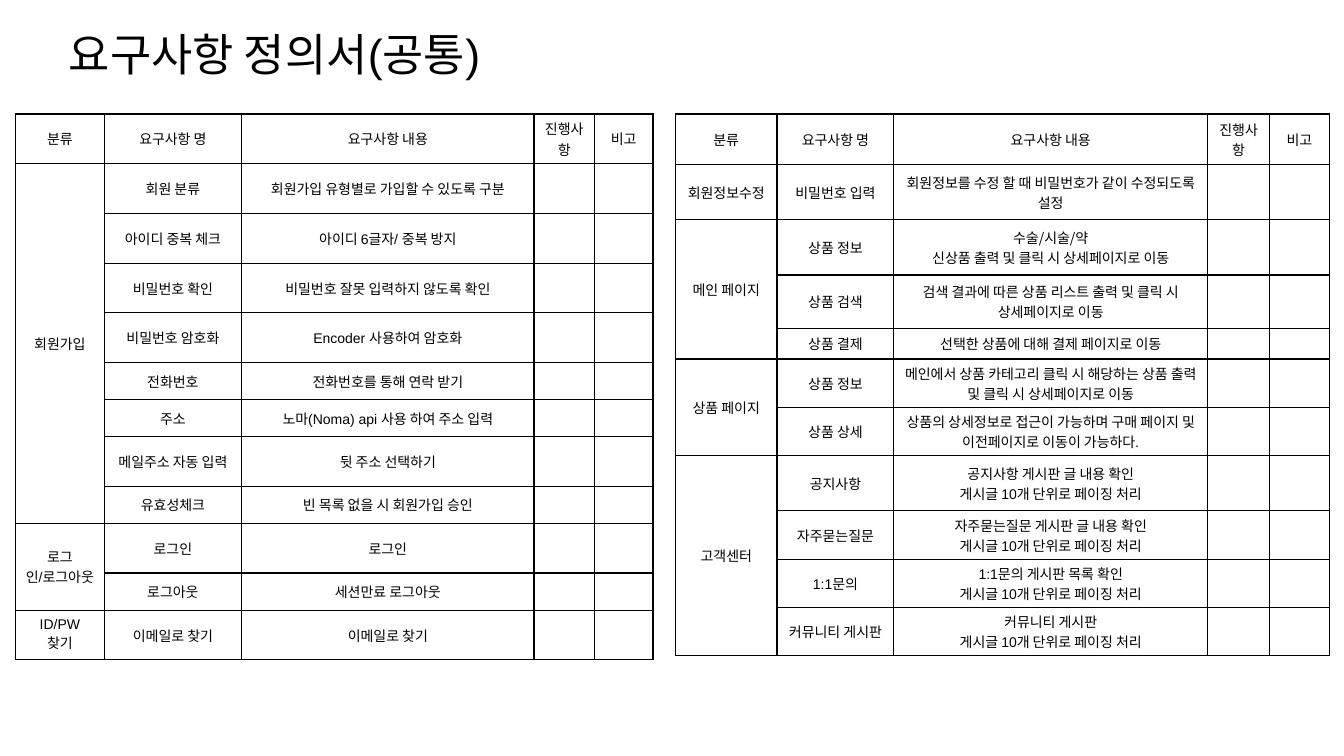
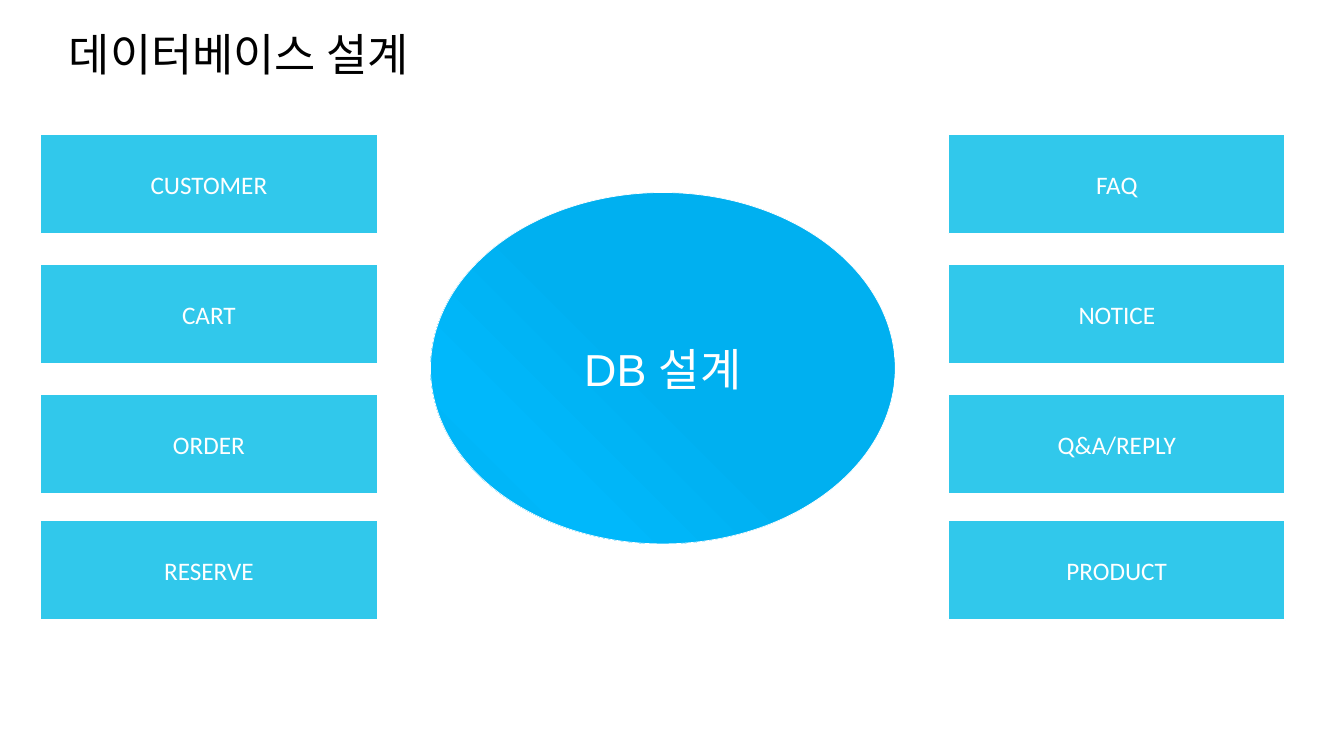
"""Build the requirements and database design slides."""
from lxml import etree
from pptx import Presentation
from pptx.dml.color import RGBColor
from pptx.enum.shapes import MSO_SHAPE
from pptx.enum.text import MSO_ANCHOR, MSO_AUTO_SIZE, PP_ALIGN
from pptx.oxml.ns import qn
from pptx.util import Pt

RECTANGLE, ELLIPSE = MSO_SHAPE.RECTANGLE, MSO_SHAPE.OVAL
LEFT, CENTER = PP_ALIGN.LEFT, PP_ALIGN.CENTER
TOP, MIDDLE = MSO_ANCHOR.TOP, MSO_ANCHOR.MIDDLE
GROW = MSO_AUTO_SIZE.SHAPE_TO_FIT_TEXT

COLORS = {"ink": "000000", "white": "FFFFFF", "entity": "31C8EB",
          "core": "00B0F0", "glow": "00B8FB"}
LATIN, LABEL, KOREAN = "Arial", "Calibri", "Noto Sans CJK KR"
TITLE_BOX = (42, 20, 353.5, 46)
TITLE_ONLY = 5
CELL_SIZE = 10

HEADERS = ["분류", "요구사항 명", "요구사항 내용", "진행사항", "비고"]
PAGING = "게시글 10개 단위로 페이징 처리"

MEMBER_TABLE = {
    "origin": (11, 81.5),
    "columns": [63.5, 98, 209, 43, 42],
    "header_height": 35.5,
    "groups": [
        ("회원가입", [
            (35.5, "회원 분류", ["회원가입 유형별로 가입할 수 있도록 구분"]),
            (35.5, "아이디 중복 체크", ["아이디 6글자/ 중복 방지"]),
            (35.5, "비밀번호 확인", ["비밀번호 잘못 입력하지 않도록 확인"]),
            (35.5, "비밀번호 암호화", ["Encoder 사용하여 암호화"]),
            (26.5, "전화번호", ["전화번호를 통해 연락 받기"]),
            (26.5, "주소", ["노마(Noma) api 사용 하여 주소 입력"]),
            (35.5, "메일주소 자동 입력", ["뒷 주소 선택하기"]),
            (26.5, "유효성체크", ["빈 목록 없을 시 회원가입 승인"]),
        ]),
        ("로그인/로그아웃", [
            (35.5, "로그인", ["로그인"]),
            (26.5, "로그아웃", ["세션만료 로그아웃"]),
        ]),
        ("ID/PW 찾기", [(35.5, "이메일로 찾기", ["이메일로 찾기"])]),
    ],
}

PAGE_TABLE = {
    "origin": (482.5, 81.5),
    "columns": [72.5, 83.5, 224, 44.5, 42.5],
    "header_height": 36,
    "groups": [
        ("회원정보수정", [
            (39.5, "비밀번호 입력",
             ["회원정보를 수정 할 때 비밀번호가 같이 수정되도록 설정"]),
        ]),
        ("메인 페이지", [
            (39.5, "상품 정보",
             ["수술/시술/약", "신상품 출력 및 클릭 시 상세페이지로 이동"], KOREAN),
            (38, "상품 검색",
             ["검색 결과에 따른 상품 리스트 출력 및 클릭 시 상세페이지로 이동"]),
            (22, "상품 결제", ["선택한 상품에 대해 결제 페이지로 이동"]),
        ]),
        ("상품 페이지", [
            (34.5, "상품 정보",
             ["메인에서 상품 카테고리 클릭 시 해당하는 상품 출력 및 클릭 시 상세페이지로 이동"]),
            (34.5, "상품 상세",
             ["상품의 상세정보로 접근이 가능하며 구매 페이지 및 이전페이지로 이동이 가능하다."]),
        ]),
        ("고객센터", [
            (39.5, "공지사항", ["공지사항 게시판 글 내용 확인", PAGING]),
            (34.5, "자주묻는질문", ["자주묻는질문 게시판 글 내용 확인", PAGING]),
            (34.5, "1:1문의", ["1:1문의 게시판 목록 확인", PAGING]),
            (34.5, "커뮤니티 게시판", ["커뮤니티 게시판", PAGING]),
        ]),
    ],
}

ENTITY_COLUMNS = [
    (29, ["CUSTOMER", "CART", "ORDER", "RESERVE"]),
    (677.5, ["FAQ", "NOTICE", "Q&A/REPLY", "PRODUCT"]),
]
ENTITY_OFFSETS = [0, 93, 186, 276]
ENTITY_TOP, ENTITY_WIDTH, ENTITY_HEIGHT = 96, 240.5, 71
CORE_BOX = (307.5, 137.5, 332, 251)
CORE_STOPS = [(0, "core"), (50, "core"), (78, "glow"), (100, "core")]


def rgb(color):
    """Return the named colour."""
    return RGBColor.from_string(COLORS[color])


def write(paragraph, text, size, color, latin=LATIN, align=CENTER):
    """Add one formatted run to a paragraph."""
    paragraph.alignment = align
    run = paragraph.add_run()
    run.text = text
    run.font.size = Pt(size)
    run.font.name = latin
    run.font.color.rgb = rgb(color)
    east_asian = etree.Element(qn("a:ea"), typeface=KOREAN)
    run.font._element.find(qn("a:latin")).addnext(east_asian)


def add_titled_slide(deck, heading):
    """Add a slide with the shared title style."""
    slide = deck.slides.add_slide(deck.slide_layouts[TITLE_ONLY])
    title = slide.shapes.title
    title.left, title.top, title.width, title.height = map(Pt, TITLE_BOX)
    frame = title.text_frame
    frame.vertical_anchor = TOP
    frame.auto_size = GROW
    paragraph = frame.paragraphs[0]
    paragraph.line_spacing = 0.9
    write(paragraph, heading, 32, "ink", align=LEFT)
    return slide


def add_border(cell):
    """Draw a thin black line on each side of a cell."""
    properties = cell._tc.get_or_add_tcPr()
    for side in ("a:lnL", "a:lnR", "a:lnT", "a:lnB"):
        line = etree.SubElement(properties, qn(side), w=str(Pt(1)))
        fill = etree.SubElement(line, qn("a:solidFill"))
        etree.SubElement(fill, qn("a:srgbClr"), val=COLORS["ink"])


def fill_cell(cell, lines, latin=LATIN):
    """Style a table cell and write its lines."""
    add_border(cell)
    cell.fill.background()
    cell.vertical_anchor = MIDDLE
    cell.margin_top = cell.margin_bottom = Pt(2.5)
    frame = cell.text_frame
    for index, line in enumerate(lines):
        paragraph = frame.add_paragraph() if index else frame.paragraphs[0]
        write(paragraph, line, CELL_SIZE, "ink", latin)
    for paragraph in frame.paragraphs:
        paragraph._p.get_or_add_endParaRPr().set("sz", str(CELL_SIZE * 100))


def add_requirements(slide, origin, columns, header_height, groups):
    """Add a requirements table with merged category cells."""
    rows = [(header_height, [[header] for header in HEADERS], LATIN)]
    spans = []
    for category, items in groups:
        spans.append((len(rows), len(rows) + len(items) - 1))
        for index, (height, name, details, *font) in enumerate(items):
            label = [] if index else [category]
            latin = font[0] if font else LATIN
            rows.append((height, [label, [name], details, [], []], latin))

    size = sum(columns), sum(row[0] for row in rows)
    table = slide.shapes.add_table(
        len(rows), len(columns), *map(Pt, origin + size)).table
    table.first_row = table.horz_banding = False
    for column, width in zip(table.columns, columns):
        column.width = Pt(width)
    for row, (height, texts, latin) in zip(table.rows, rows):
        row.height = Pt(height)
        for index, (cell, lines) in enumerate(zip(row.cells, texts)):
            fill_cell(cell, lines, latin if index else LATIN)
    for first, last in spans:
        if last > first:
            table.cell(first, 0).merge(table.cell(last, 0))


def add_node(slide, kind, box, text, size, latin, line_width):
    """Add a white-outlined shape with a centred label."""
    node = slide.shapes.add_shape(kind, *map(Pt, box))
    node.shadow.inherit = False
    node.line.color.rgb = rgb("white")
    node.line.width = Pt(line_width)
    node.text_frame.vertical_anchor = MIDDLE
    node.text_frame.word_wrap = True
    write(node.text_frame.paragraphs[0], text, size, "white", latin)
    return node


def add_core(slide, box):
    """Add the central ellipse with its gradient."""
    core = add_node(slide, ELLIPSE, box, "DB 설계", 32, LATIN, 0.5)
    core.fill.gradient()
    core.fill.gradient_angle = 225
    stops = core._element.spPr.find(".//" + qn("a:gsLst"))
    stops.clear()
    for position, color in CORE_STOPS:
        stop = etree.SubElement(stops, qn("a:gs"), pos=str(position * 1000))
        etree.SubElement(stop, qn("a:srgbClr"), val=COLORS[color])


def add_entities(slide, left, top, names):
    """Add one column of entity boxes."""
    for offset, name in zip(ENTITY_OFFSETS, names):
        box = (left, top + offset, ENTITY_WIDTH, ENTITY_HEIGHT)
        entity = add_node(slide, RECTANGLE, box, name, 18, LABEL, 1)
        entity.fill.solid()
        entity.fill.fore_color.rgb = rgb("entity")


def main():
    """Build and save the deck."""
    deck = Presentation()
    deck.slide_width, deck.slide_height = Pt(960), Pt(540)

    requirements = add_titled_slide(deck, "요구사항 정의서(공통)")
    for content in (MEMBER_TABLE, PAGE_TABLE):
        add_requirements(requirements, **content)

    database = add_titled_slide(deck, "데이터베이스 설계")
    add_core(database, CORE_BOX)
    for left, names in ENTITY_COLUMNS:
        add_entities(database, left, ENTITY_TOP, names)

    deck.save("out.pptx")


if __name__ == "__main__":
    main()
